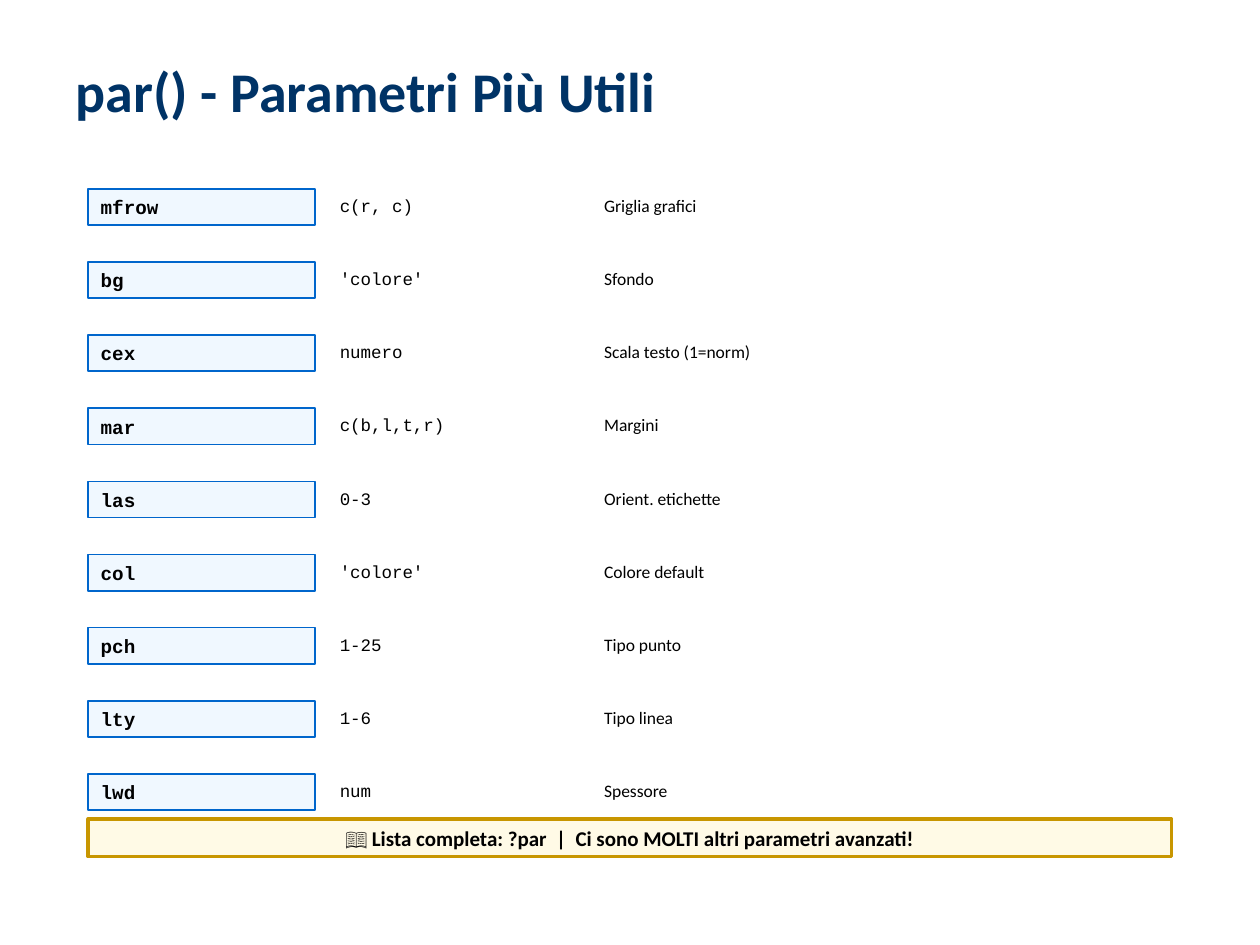
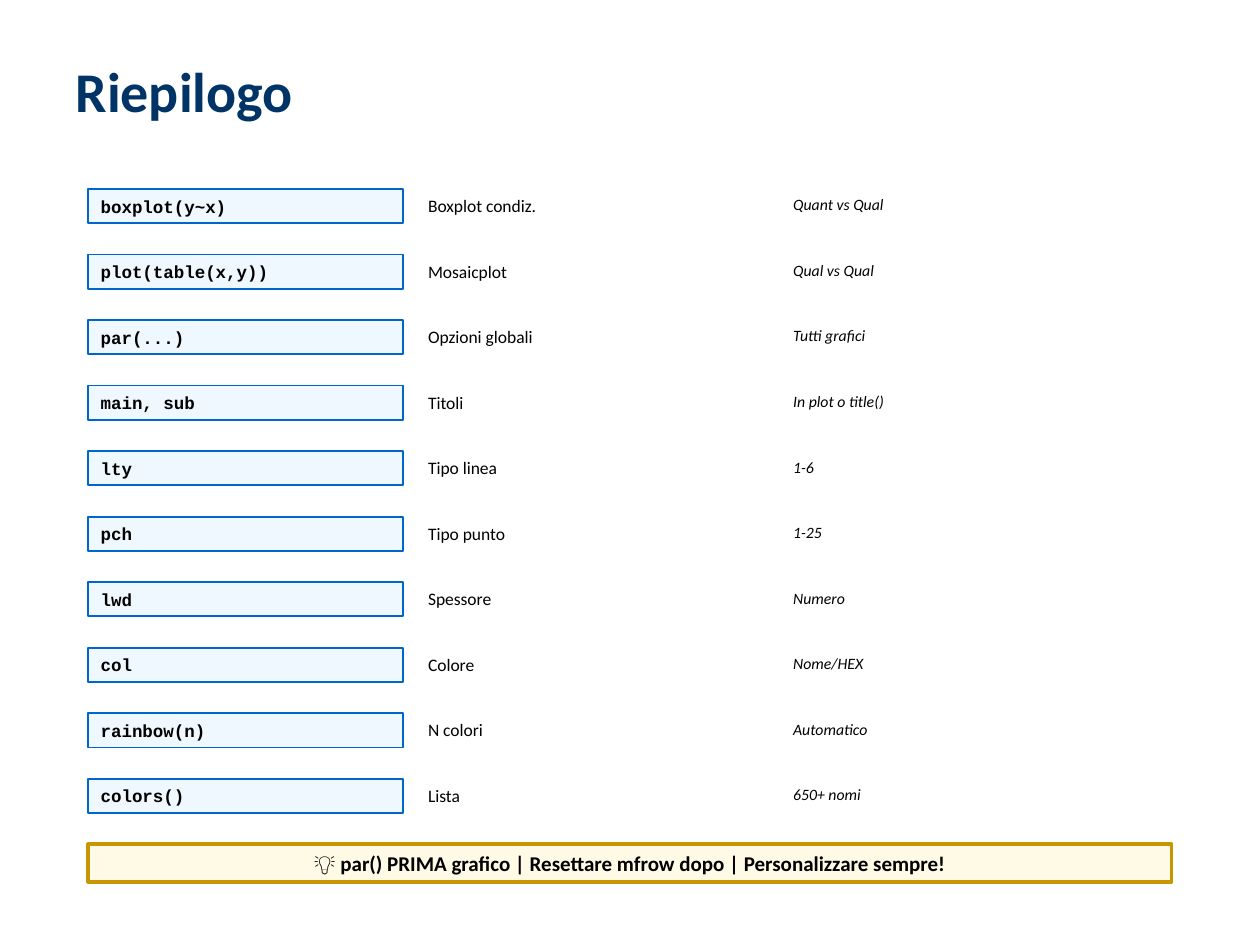
from pptx import Presentation
from pptx import util as u
from pptx.dml.color import RGBColor
from pptx.enum import shapes, text

BODY, CODE = "Calibri", "Courier New"
NAVY, BLACK = "003366", "000000"
BLUE_BOX = {"fill": "F0F8FF", "edge": "0066CC", "weight": 1}
GOLD_BOX = {"fill": "FFFAE6", "edge": "C89600", "weight": 2}

TITLE_FONT = {"name": BODY, "size": 32, "bold": True, "color": NAVY}
BANNER_FONT = {"name": BODY, "size": 12, "bold": True}

# Centimetres
LEFT, FIRST_ROW, COLUMN_GAP = 1.78, 3.81, 0.25
BANNER_WIDTH, BANNER_HEIGHT = 21.84, 0.76
LINE_HEIGHT = {11: 0.73, 10: 0.69, 9: 0.63}

# The first column is boxed; each column has a width and a font.
SLIDES = [
    {
        "title": "par() - Parametri Più Utili",
        "columns": [
            (4.57, {"name": CODE, "size": 11, "bold": True}),
            (5.08, {"name": CODE, "size": 10}),
            (11.68, {"name": BODY, "size": 10}),
        ],
        "last_row": 15.6,
        "rows": [
            ("mfrow", "c(r, c)", "Griglia grafici"),
            ("bg", "'colore'", "Sfondo"),
            ("cex", "numero", "Scala testo (1=norm)"),
            ("mar", "c(b,l,t,r)", "Margini"),
            ("las", "0-3", "Orient. etichette"),
            ("col", "'colore'", "Colore default"),
            ("pch", "1-25", "Tipo punto"),
            ("lty", "1-6", "Tipo linea"),
            ("lwd", "num", "Spessore"),
        ],
        "banner": "📖 Lista completa: ?par  |  Ci sono MOLTI altri parametri avanzati!",
        "banner_top": 16.51,
    },
    {
        "title": "Riepilogo",
        "columns": [
            (6.35, {"name": CODE, "size": 10, "bold": True}),
            (7.11, {"name": BODY, "size": 10}),
            (7.87, {"name": BODY, "size": 9, "italic": True}),
        ],
        "last_row": 15.7,
        "rows": [
            ("boxplot(y~x)", "Boxplot condiz.", "Quant vs Qual"),
            ("plot(table(x,y))", "Mosaicplot", "Qual vs Qual"),
            ("par(...)", "Opzioni globali", "Tutti grafici"),
            ("main, sub", "Titoli", "In plot o title()"),
            ("lty", "Tipo linea", "1-6"),
            ("pch", "Tipo punto", "1-25"),
            ("lwd", "Spessore", "Numero"),
            ("col", "Colore", "Nome/HEX"),
            ("rainbow(n)", "N colori", "Automatico"),
            ("colors()", "Lista", "650+ nomi"),
        ],
        "banner": "💡 par() PRIMA grafico | Resettare mfrow dopo | Personalizzare sempre!",
        "banner_top": 17.02,
    },
]


def rgb(hex_color):
    return RGBColor.from_string(hex_color)


def write(holder, words, font, align=text.PP_ALIGN.LEFT):
    frame = holder.text_frame
    frame.word_wrap = True
    frame.auto_size = text.MSO_AUTO_SIZE.SHAPE_TO_FIT_TEXT
    paragraph = frame.paragraphs[0]
    paragraph.alignment = align
    run = paragraph.add_run()
    run.text = words
    values = {"color": BLACK, **font}
    run.font.color.rgb = rgb(values.pop("color"))
    values["size"] = u.Pt(values["size"])
    for attribute, value in values.items():
        setattr(run.font, attribute, value)


def add_box(slide, place, style):
    box = slide.shapes.add_shape(shapes.MSO_SHAPE.RECTANGLE, *map(u.Cm, place))
    box.shadow.inherit = False
    box.fill.solid()
    box.fill.fore_color.rgb = rgb(style["fill"])
    box.line.color.rgb = rgb(style["edge"])
    box.line.width = u.Pt(style["weight"])
    return box


def add_title(slide, words):
    title = slide.shapes.title
    place = {"left": 1.27, "top": 1.02, "width": 22.86, "height": 1.63}
    for attribute, value in place.items():
        setattr(title, attribute, u.Cm(value))
    title.text_frame.vertical_anchor = text.MSO_ANCHOR.TOP
    write(title, words, TITLE_FONT)


def add_rows(slide, content):
    """Spread the rows evenly from FIRST_ROW to the content's last row."""
    step = (content["last_row"] - FIRST_ROW) / (len(content["rows"]) - 1)
    for index, row in enumerate(content["rows"]):
        left, top = LEFT, FIRST_ROW + index * step
        for (width, font), words in zip(content["columns"], row):
            place = (left, top, width, LINE_HEIGHT[font["size"]])
            if left == LEFT:
                cell = add_box(slide, place, BLUE_BOX)
            else:
                cell = slide.shapes.add_textbox(*map(u.Cm, place))
            write(cell, words, font)
            left += width + COLUMN_GAP


def add_banner(slide, words, top):
    banner = add_box(slide, (LEFT, top, BANNER_WIDTH, BANNER_HEIGHT), GOLD_BOX)
    write(banner, words, BANNER_FONT, text.PP_ALIGN.CENTER)


def main():
    deck = Presentation()
    deck.slide_width, deck.slide_height = u.Cm(25.4), u.Cm(19.05)
    title_only = deck.slide_layouts.get_by_name("Title Only")
    for content in SLIDES:
        slide = deck.slides.add_slide(title_only)
        add_title(slide, content["title"])
        add_rows(slide, content)
        add_banner(slide, content["banner"], content["banner_top"])
    deck.save("out.pptx")


if __name__ == "__main__":
    main()
